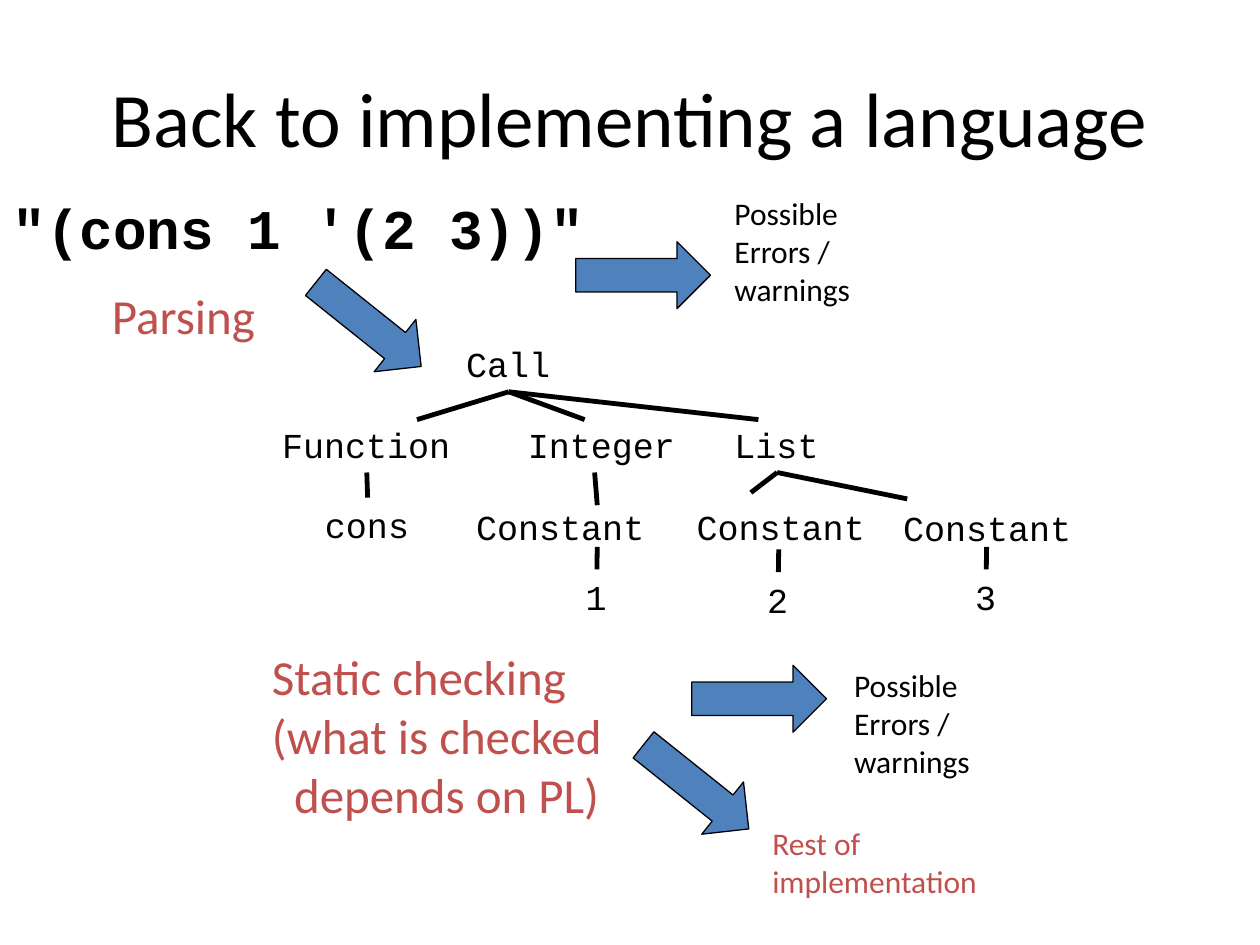
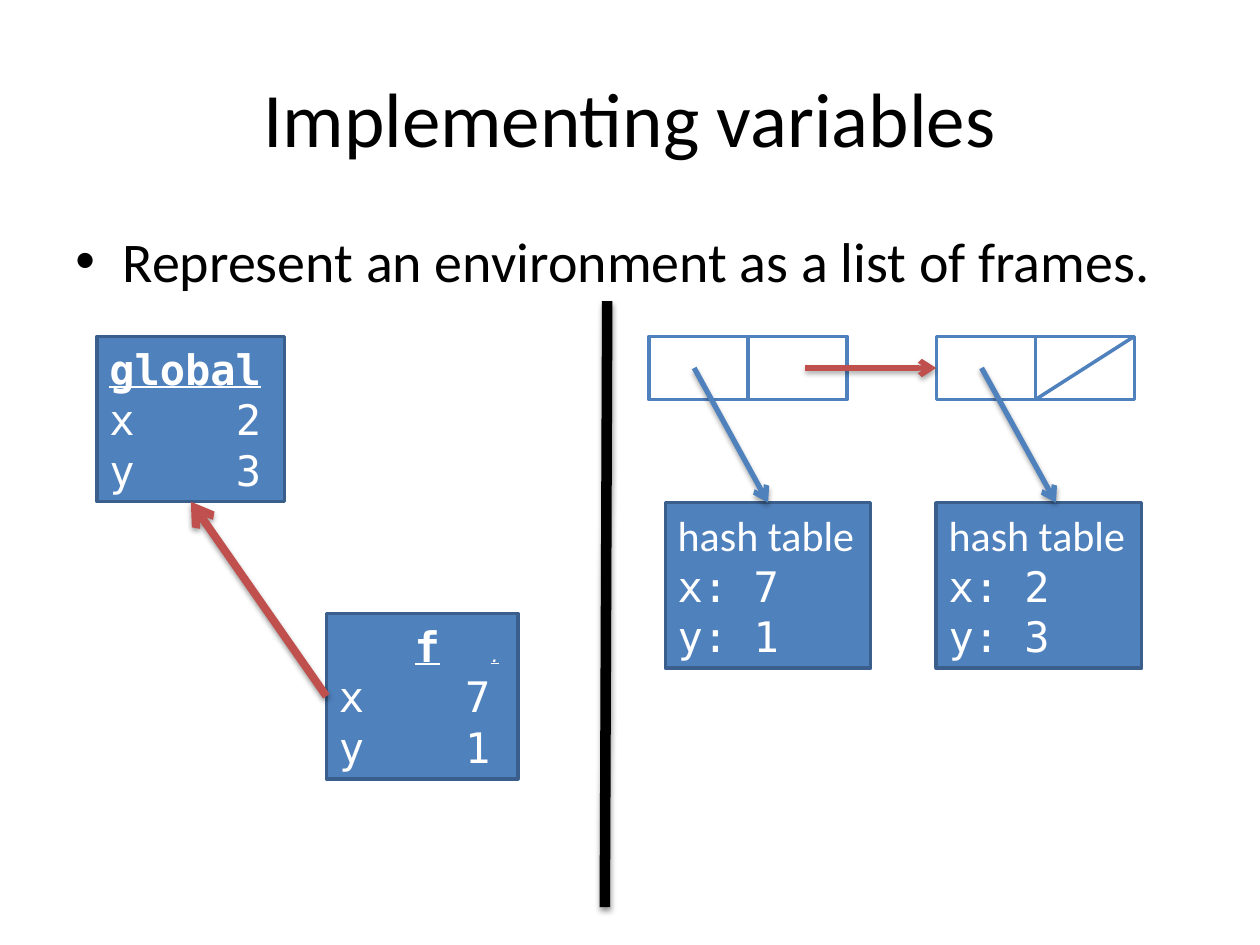
"""Build two slides on implementing a language: the pipeline and variable environments."""
from dataclasses import dataclass, replace

from lxml.etree import SubElement
from pptx import Presentation
from pptx.dml.color import RGBColor as RGB
from pptx.enum.shapes import MSO_CONNECTOR as LINE, MSO_SHAPE as SHAPE
from pptx.enum.text import MSO_ANCHOR as ANCHOR, MSO_AUTO_SIZE as AUTO, PP_ALIGN as ALIGN
from pptx.oxml.ns import qn
from pptx.util import Pt


@dataclass(frozen=True)
class Style:
    font: str
    size: float
    color: RGB
    bold: bool = False
    italic: bool = False
    underline: bool = False


class Theme:
    black, white = RGB(0, 0, 0), RGB(255, 255, 255)
    blue, navy, red = RGB(0x4F, 0x81, 0xBD), RGB(0x3A, 0x5F, 0x8C), RGB(0xC0, 0x50, 0x4D)
    title = Style("Calibri", 44, black)
    bullet = Style("Calibri", 32, black)
    source = Style("Courier New", 32, black, bold=True)
    phase = Style("Calibri", 28, red)
    outcome = Style("Calibri", 18, black)
    rest = Style("Calibri", 18, red)
    node = Style("Courier New", 20, black)
    table = Style("Calibri", 24, white)
    binding = Style("DejaVu Sans Mono", 24, white)
    frame = Style("DejaVu Sans Mono", 24, white, bold=True, underline=True)
    soft, deep = (38, 1.6), (35, 1.8)


def write(sp, paras, align=ALIGN.LEFT, anchor=ANCHOR.TOP, wrap=True, grow=True):
    tf = sp.text_frame
    tf.word_wrap = wrap
    tf.auto_size = AUTO.SHAPE_TO_FIT_TEXT if grow else AUTO.NONE
    tf.vertical_anchor = anchor
    for i, runs in enumerate(paras):
        p = tf.add_paragraph() if i else tf.paragraphs[0]
        p.alignment = align
        for text, style in runs:
            r = p.add_run()
            r.text = text
            r.font.name, r.font.size = style.font, Pt(style.size)
            r.font.color.rgb = style.color
            r.font.bold, r.font.italic = style.bold, style.italic
            r.font.underline = style.underline
    return tf


def add_line(s, begin, end, color, width, arrow=False, shadow=None):
    c = s.shapes.add_connector(LINE.STRAIGHT, 0, 0, 0, 0)
    if isinstance(begin[0], (int, float)):
        c.begin_x, c.begin_y = map(Pt, begin)
    else:
        c.begin_connect(*begin)
    if isinstance(end[0], (int, float)):
        c.end_x, c.end_y = map(Pt, end)
    else:
        c.end_connect(*end)
    c.line.color.rgb = color
    c.line.width = Pt(width)
    if arrow:
        SubElement(c.line._get_or_add_ln(), qn("a:tailEnd"), type="arrow")
    effects = SubElement(c._element.spPr, qn("a:effectLst"))
    if shadow:
        alpha, dist = shadow
        shade = SubElement(effects, qn("a:outerShdw"), blurRad=str(Pt(3.1)),
                           dist=str(Pt(dist)), dir="5400000", rotWithShape="0")
        tint = SubElement(shade, qn("a:srgbClr"), val=str(Theme.black))
        SubElement(tint, qn("a:alpha"), val=str(alpha * 1000))


prs = Presentation()
prs.slide_width, prs.slide_height = Pt(720), Pt(540)
slides, bodies = [], []
for title, body, style, box in [
    ("Back to implementing a language", "\"(cons 1 '(2 3))\"", Theme.source,
     (0, 107.3, 363.6, 54)),
    ("Implementing variables", "Represent an environment as a list of frames.",
     Theme.bullet, (36, 126, 648, 374.4)),
]:
    s = prs.slides.add_slide(prs.slide_layouts[6])
    write(s.shapes.add_textbox(Pt(36), Pt(21.6), Pt(648), Pt(90)),
          [[(title, Theme.title)]], ALIGN.CENTER, ANCHOR.MIDDLE, grow=False)
    bodies.append(write(s.shapes.add_textbox(*map(Pt, box)), [[(body, style)]], grow=False))
    slides.append(s)
pipeline, variables = slides

for x, y, angle in [(172.1, 166.3, 38.6), (329, 138.2, 0),
                    (395.3, 380.2, 0), (359.3, 430.6, 38.6)]:
    sp = pipeline.shapes.add_shape(SHAPE.RIGHT_ARROW, Pt(x), Pt(y), Pt(77), Pt(38.2))
    sp.rotation = angle
    sp.shadow.inherit = False
    sp.fill.solid()
    sp.fill.fore_color.rgb = Theme.blue
    sp.line.color.rgb = Theme.black
    sp.line.width = Pt(0.75)

warnings = ["Possible", "Errors /", "warnings"]
checking = ["Static checking", "(what is checked", "depends on PL)"]
for lines, style, box in [
    (["Parsing"], Theme.phase, (56.9, 159.8, 97.2, 41)),
    (warnings, Theme.outcome, (412.6, 107.3, 110.2, 94.3)),
    (warnings, Theme.outcome, (481, 377.3, 110.2, 94.3)),
    (["Rest of", "implementation"], Theme.rest, (434.2, 467.3, 176.4, 65.5)),
    (checking, Theme.phase, (148.3, 365.8, 205.2, 108.7)),
]:
    tf = write(pipeline.shapes.add_textbox(*map(Pt, box)),
               [[(line, style)] for line in lines], wrap=len(lines) > 1)
    if lines is checking:
        tf.paragraphs[-1]._p.get_or_add_pPr().set("marL", str(Pt(12.7)))

nodes = {}
for text, x, y in [
    ("Call", 259.2, 192.2),
    ("Function", 154.1, 238.3), ("Integer", 294.5, 238.3), ("List", 412.6, 238.3),
    ("cons", 178.6, 284.4), ("Constant", 265, 285.1),
    ("Constant", 391, 285.1), ("Constant", 509, 285.8),
    ("1", 327.6, 325.4), ("2", 431.3, 326.9), ("3", 550.1, 325.4),
]:
    nodes[text] = pipeline.shapes.add_textbox(
        Pt(x), Pt(y), Pt(12 * len(text) + 15), Pt(31.7))
    write(nodes[text], [[(text, Theme.node)]], wrap=False)

call, items = (nodes["Call"], 2), (nodes["List"], 2)
for begin, end in [
    (call, (238.3, 239.8)), (call, (334.1, 239.8)), (call, (433.4, 239.8)),
    (items, (429.1, 281.5)), (items, (518.4, 285.1)),
    ((nodes["Function"], 2), (nodes["cons"], 0)),
    ((339.8, 270), (341.3, 288.7)),
    ((341.3, 312.5), (nodes["1"], 0)),
    ((445, 313.9), (nodes["2"], 0)),
    ((563.8, 312.5), (nodes["3"], 0)),
]:
    add_line(pipeline, begin, end, Theme.black, 2.75)

pPr = bodies[1].paragraphs[0]._p.get_or_add_pPr()
pPr.set("marL", str(Pt(27)))
pPr.set("indent", str(Pt(-27)))
SubElement(pPr, qn("a:buFont"), typeface="Arial")
SubElement(pPr, qn("a:buChar"), char="•")

slanted = replace(Theme.frame, italic=True)
global_head = [("global", Theme.frame)]
f_head = [("\t", slanted), ("f", Theme.frame), ("\t", slanted),
          (".", replace(slanted, size=8))]
table_head = [("hash table", Theme.table)]
char = 14.45
cell_w, cell_h, cell_y = 56.6, 36.2, 192.2
pair_x = [370.8, 535]
boxes = {}
for name, x, y, w, head, rows, stops in [
    ("global", 55.4, 192.2, 107.3, global_head, ["x\t2", "y\t3"], [5]),
    ("f", 186.5, 350.6, 109.4, f_head, ["x\t7", "y\t1"], [3, 6]),
    ("f table", 380.2, 287.3, 117.4, table_head, ["x: 7", "y: 1"], []),
    ("global table", 535, 287.3, 117.4, table_head, ["x: 2", "y: 3"], []),
    *[((pair, half), x + half * cell_w, cell_y, cell_w, None, [], [])
      for pair, x in enumerate(pair_x) for half in range(2)],
]:
    h = 94.5 if head else cell_h
    sp = variables.shapes.add_shape(SHAPE.RECTANGLE, Pt(x), Pt(y), Pt(w), Pt(h))
    sp.shadow.inherit = False
    sp.fill.solid()
    sp.fill.fore_color.rgb = Theme.blue if head else Theme.white
    sp.line.color.rgb = Theme.navy if head else Theme.blue
    sp.line.width = Pt(2)
    boxes[name] = sp
    if head:
        tf = write(sp, [head] + [[(row, Theme.binding)] for row in rows],
                   anchor=ANCHOR.MIDDLE)
        for i, p in enumerate(tf.paragraphs):
            columns = stops if i == 0 else [5]
            if stops:
                tabs = SubElement(p._p.get_or_add_pPr(), qn("a:tabLst"))
                for column in columns:
                    SubElement(tabs, qn("a:tab"), pos=str(Pt(column * char)), algn="l")

mid_y = cell_y + cell_h / 2
for begin, end, color, width, arrow, shadow in [
    ((347, 172.1), (345.6, 518.4), Theme.black, 6, False, Theme.soft),
    ((boxes["f"], 1), (boxes["global"], 2), Theme.red, 4.5, True, Theme.soft),
    ((460.1, mid_y), (boxes[1, 0], 1), Theme.red, 3, True, Theme.deep),
    ((396.7, mid_y), (boxes["f table"], 0), Theme.blue, 3, True, Theme.deep),
    ((560.9, mid_y), (603.4, 287.3), Theme.blue, 3, True, Theme.soft),
    ((pair_x[1] + cell_w, cell_y + cell_h), (pair_x[1] + 2 * cell_w, cell_y),
     Theme.blue, 2, False, None),
]:
    add_line(variables, begin, end, color, width, arrow, shadow)

prs.save("out.pptx")
